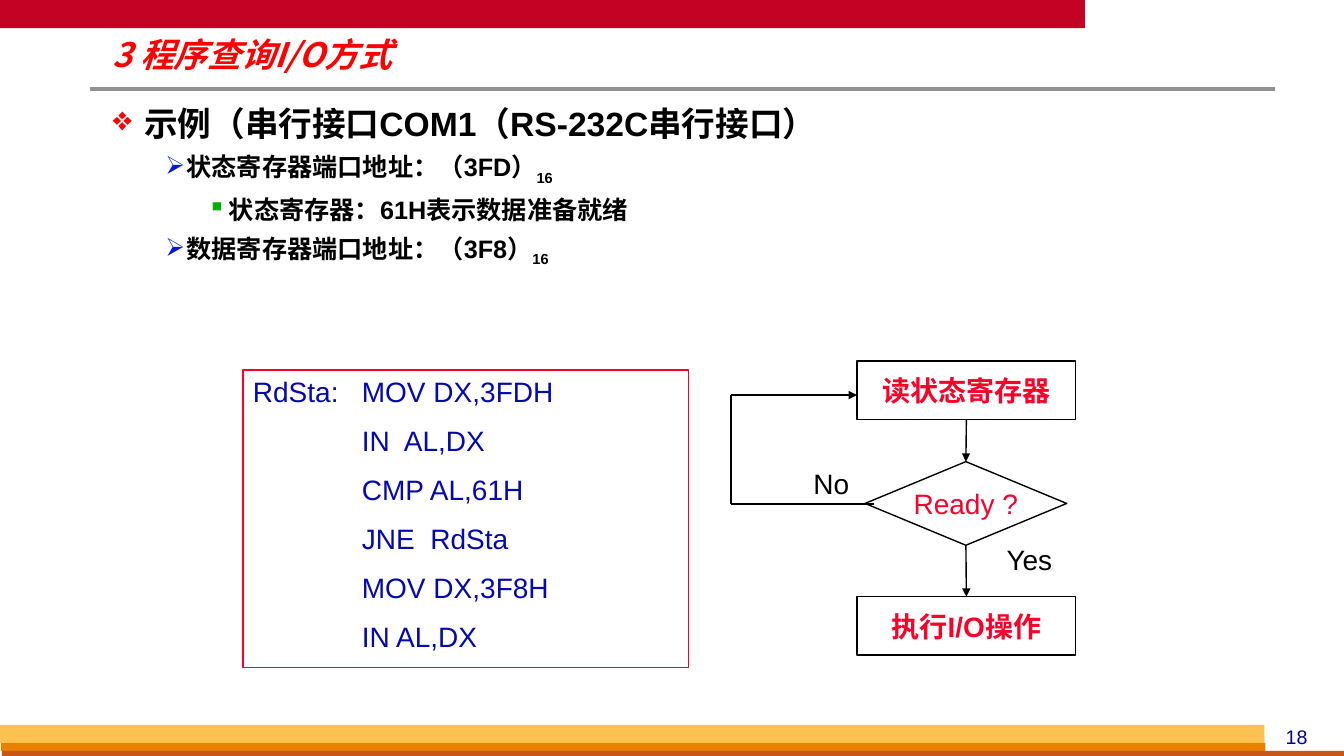
from dataclasses import dataclass

from lxml.etree import SubElement
from pptx import Presentation
from pptx.dml.color import RGBColor
from pptx.enum.shapes import MSO_CONNECTOR, MSO_SHAPE
from pptx.enum.text import MSO_ANCHOR, PP_ALIGN
from pptx.oxml.ns import qn
from pptx.util import Inches, Pt


@dataclass(frozen=True)
class Theme:
    latin: str = "Arial"
    chinese: str = "Noto Sans CJK SC"
    title_size: int = 24
    heading_size: int = 24
    point_size: int = 18
    figure_size: int = 20
    number_size: int = 14
    black: str = "000000"
    title: str = "FF0000"
    accent: str = "FC0128"
    code: str = "0408B2"
    number: str = "000099"
    banner: str = "C30224"
    rule: str = "919191"
    footer: tuple = ("E88000", "C95616", "FCC24F")
    bullets: tuple = ("FF0000", "001ADC", "05AD01")


theme = Theme()


def style(paragraph, size, color, bold=False, align=PP_ALIGN.LEFT):
    paragraph.alignment = align
    for run in paragraph.runs:
        run.font.size = Pt(size)
        run.font.bold = bold
        run.font.name = theme.latin
        run.font.color.rgb = RGBColor.from_string(color)
        SubElement(run.font._element, qn("a:ea")).set("typeface", theme.chinese)


def draw_line(start, end, color=theme.black, width=1, arrow=False):
    line = slide.shapes.add_connector(
        MSO_CONNECTOR.STRAIGHT, *[Inches(v) for v in (*start, *end)])
    line.line.color.rgb = RGBColor.from_string(color)
    line.line.width = Pt(width)
    if arrow:
        SubElement(line.line._get_or_add_ln(), qn("a:tailEnd")).set("type", "triangle")
    SubElement(line._element.spPr, qn("a:effectLst"))
    return line


deck = Presentation()
deck.slide_width, deck.slide_height = Inches(13.33), Inches(7.5)
slide = deck.slides.add_slide(deck.slide_layouts[6])

# Banner, footer stripes and rule below the title
stripes = [
    ((0, 0, 10.76, 0.28), theme.banner),
    ((0.01, 7.37, 12.54, 0.08), theme.footer[0]),
    ((0.02, 7.45, 13.33, 0.08), theme.footer[1]),
    ((0, 7.19, 12.54, 0.18), theme.footer[2]),
]
for box, color in stripes:
    stripe = slide.shapes.add_shape(MSO_SHAPE.RECTANGLE, *[Inches(v) for v in box])
    stripe.shadow.inherit = False
    stripe.fill.solid()
    stripe.fill.fore_color.rgb = RGBColor.from_string(color)
    stripe.line.fill.background()
draw_line((0.89, 0.88), (12.65, 0.88), theme.rule, 3)

# Title and bulleted outline
title = slide.shapes.add_textbox(Inches(1.05), Inches(0.36), Inches(5.75), Inches(0.41))
outline = slide.shapes.add_textbox(Inches(1.05), Inches(0.99), Inches(10.02), Inches(2.01))
for frame in (title.text_frame, outline.text_frame):
    frame.word_wrap = True
    frame.margin_left = frame.margin_right = Inches(0.07)
    frame.margin_top = frame.margin_bottom = Inches(0.03)

title.text_frame.vertical_anchor = MSO_ANCHOR.MIDDLE
heading = title.text_frame.paragraphs[0]
heading.text = "3 程序查询I/O方式"
heading.line_spacing = 0.87
style(heading, theme.title_size, theme.title, bold=True)
heading.runs[0].font.name = theme.chinese
heading.runs[0].font.italic = True

levels = [  # bullet, left margin, hanging indent, size
    ("❖", 0.31, 0.31, theme.heading_size),
    ("➢", 0.73, 0.21, theme.point_size),
    ("▪", 1.15, 0.21, theme.point_size),
]
points = [  # level, text, subscript
    (0, "示例（串行接口COM1（RS-232C串行接口）", ""),
    (1, "状态寄存器端口地址：（3FD）", "16"),
    (2, "状态寄存器：61H表示数据准备就绪", ""),
    (1, "数据寄存器端口地址：（3F8）", "16"),
]
for index, (level, text, subscript) in enumerate(points):
    frame = outline.text_frame
    point = frame.add_paragraph() if index else frame.paragraphs[0]
    bullet, margin, hanging, size = levels[level]
    point.text = text
    point.level = level
    point.space_before = Pt(6)
    if subscript:
        point.add_run().text = subscript
    style(point, size, theme.black, bold=True)
    if subscript:
        point.runs[1].font._element.set("baseline", "-25000")
    properties = point._p.get_or_add_pPr()
    properties.set("marL", str(Inches(margin)))
    properties.set("indent", str(-Inches(hanging)))
    bullet_color = SubElement(properties, qn("a:buClr"))
    SubElement(bullet_color, qn("a:srgbClr")).set("val", theme.bullets[level])
    SubElement(properties, qn("a:buChar")).set("char", bullet)

# Flowchart nodes
nodes = [
    (MSO_SHAPE.RECTANGLE, (8.5, 3.58, 2.17, 0.58), "读状态寄存器", True),
    (MSO_SHAPE.DIAMOND, (8.58, 4.58, 2, 0.83), "Ready ?", False),
    (MSO_SHAPE.RECTANGLE, (8.5, 5.92, 2.17, 0.58), "执行I/O操作", True),
]
steps = []
for outline_kind, box, text, bold in nodes:
    step = slide.shapes.add_shape(outline_kind, *[Inches(v) for v in box])
    step.shadow.inherit = False
    step.fill.background()
    step.line.color.rgb = RGBColor.from_string(theme.black)
    step.line.width = Pt(1)
    step.text_frame.word_wrap = False
    step.text_frame.vertical_anchor = MSO_ANCHOR.MIDDLE
    step.text_frame.text = text
    style(step.text_frame.paragraphs[0], theme.figure_size, theme.accent, bold, PP_ALIGN.CENTER)
    steps.append(step)

# Downward arrows between the nodes
for upper, lower, top, bottom in zip(steps, steps[1:], (4.17, 5.42), (4.58, 5.92)):
    arrow = draw_line((9.58, top), (9.58, bottom), arrow=True)
    arrow.begin_connect(upper, 2)
    arrow.end_connect(lower, 0)

# Loop back to reading the status register
loop = [(8.67, 5), (7.25, 5), (7.25, 3.92), (8.5, 3.92)]
for start, end in zip(loop, loop[1:]):
    draw_line(start, end, arrow=end == loop[-1])

# Branch labels and slide number
labels = [
    ("No", (7.83, 4.58, 0.83, 0.43), theme.figure_size, theme.black),
    ("Yes", (9.75, 5.33, 0.92, 0.43), theme.figure_size, theme.black),
    ("18", (12.44, 7.14, 0.84, 0.33), theme.number_size, theme.number),
]
for text, box, size, color in labels:
    label = slide.shapes.add_textbox(*[Inches(v) for v in box])
    label.text_frame.word_wrap = True
    label.text_frame.text = text
    style(label.text_frame.paragraphs[0], size, color, align=PP_ALIGN.CENTER)

# Assembly listing, with instructions aligned after the entry label
listing = slide.shapes.add_shape(
    MSO_SHAPE.RECTANGLE, Inches(2.41), Inches(3.67), Inches(4.42), Inches(2.95))
listing.shadow.inherit = False
listing.fill.background()
listing.line.color.rgb = RGBColor.from_string(theme.accent)
listing.line.width = Pt(1)
listing.text_frame.word_wrap = True
listing.text_frame.vertical_anchor = MSO_ANCHOR.TOP
listing.text_frame.text = "\n".join([
    "RdSta:\tMOV DX,3FDH", "IN  AL,DX", "CMP AL,61H",
    "JNE  RdSta", "MOV DX,3F8H", "IN AL,DX"])
for index, instruction in enumerate(listing.text_frame.paragraphs):
    instruction.space_before = Pt(11)
    style(instruction, theme.figure_size, theme.code)
    properties = instruction._p.get_or_add_pPr()
    properties.set("marL", str(Inches(1.08)))
    properties.set("indent", str(0 if index else -Inches(1.08)))

deck.save("out.pptx")
